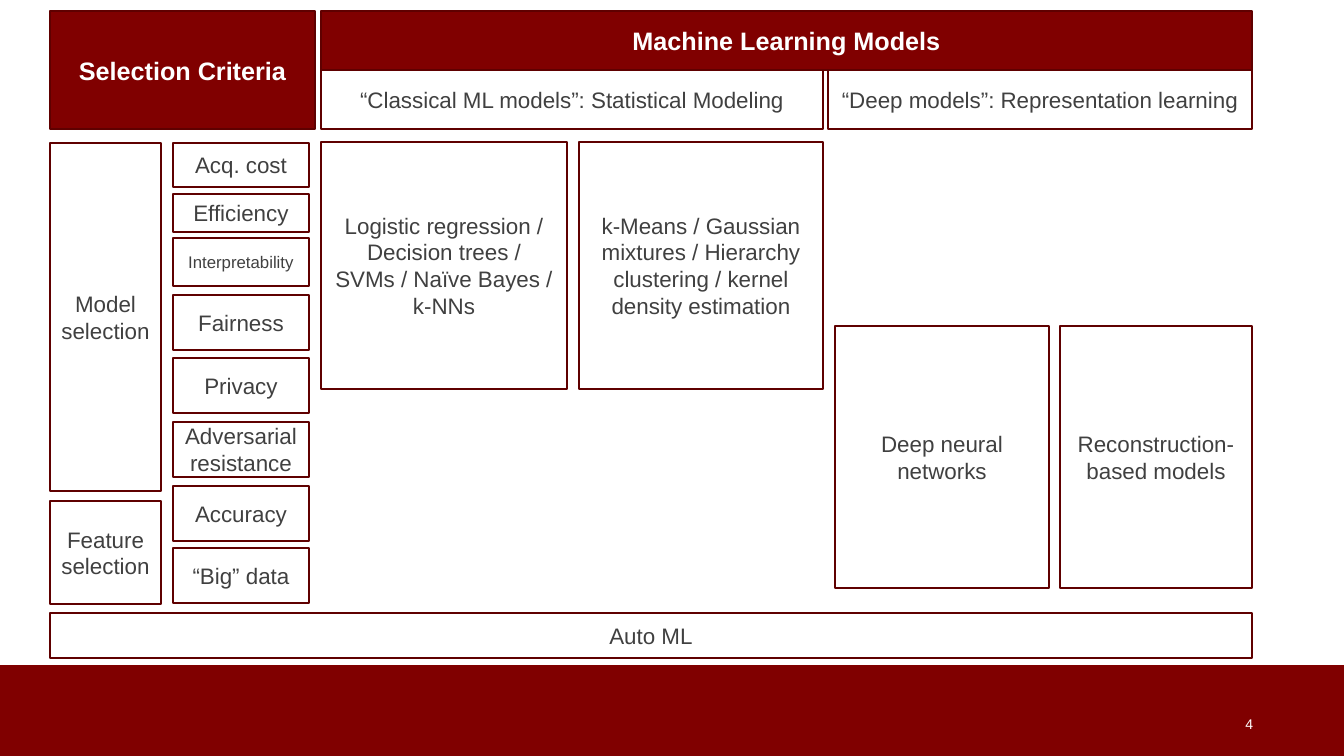
from pptx import Presentation
from pptx.dml.color import RGBColor
from pptx.enum.shapes import MSO_SHAPE
from pptx.enum.text import MSO_ANCHOR, PP_ALIGN
from pptx.util import Emu, Pt

EMU_PER_PX = 914400 / 100.8
MAROON, DARK_MAROON = "800000", "5F0000"
WHITE, GRAY = "FFFFFF", "404040"

# Shared edges of the diagram, in px
LEFT, RIGHT = 50, 1252
CRITERIA_LEFT, CRITERIA_WIDTH = 173, 136
MODELS_LEFT, CLASSICAL_RIGHT = 321, 823
HEADER_TOP, HEADER_MIDDLE, HEADER_BOTTOM = 11, 70, 129

# Criterion, top, height, text size
CRITERIA = [
    ("Acq. cost", 143, 44, 16),
    ("Efficiency", 194, 38, 16),
    ("Interpretability", 238, 48, 12),
    ("Fairness", 295, 55, 16),
    ("Privacy", 358, 55, 16),
    ("Adversarial resistance", 422, 55, 16),
    ("Accuracy", 486, 55, 16),
    ("“Big” data", 548, 55, 16),
]

# Model family, left, top, width, height
MODEL_FAMILIES = [
    ("Logistic regression / Decision trees / SVMs / Naïve Bayes / k-NNs",
     MODELS_LEFT, 142, 246, 247),
    ("k-Means / Gaussian mixtures / Hierarchy clustering / kernel density estimation",
     579, 142, CLASSICAL_RIGHT - 579, 247),
    ("Deep neural networks", 835, 326, 214, 262),
    ("Reconstruction-based models", 1060, 326, RIGHT - 1060, 262),
]


def px(length):
    return Emu(round(length * EMU_PER_PX))


def color(hex_code):
    return RGBColor.from_string(hex_code)


def write(shape, text, size, text_color, align=PP_ALIGN.CENTER, bold=False):
    frame = shape.text_frame
    frame.word_wrap = True
    frame.vertical_anchor = MSO_ANCHOR.MIDDLE
    paragraph = frame.paragraphs[0]
    paragraph.alignment = align
    run = paragraph.add_run()
    run.text = text
    run.font.name = "Arial"
    run.font.size = Pt(size)
    run.font.bold = bold
    run.font.color.rgb = color(text_color)


def add_rectangle(slide, left, top, width, height, fill):
    rectangle = slide.shapes.add_shape(
        MSO_SHAPE.RECTANGLE, px(left), px(top), px(width), px(height))
    rectangle.shadow.inherit = False
    rectangle.fill.solid()
    rectangle.fill.fore_color.rgb = color(fill)
    return rectangle


def add_box(slide, text, left, top, width, height, size=16, header=False):
    box = add_rectangle(slide, left, top, width, height, MAROON if header else WHITE)
    box.line.color.rgb = color(DARK_MAROON)
    box.line.width = Pt(1)
    write(box, text, size, WHITE if header else GRAY, bold=header)


def add_footer(slide, number):
    band = add_rectangle(slide, 0, 665, 1344, 91, MAROON)
    band.line.fill.background()
    page_number = slide.shapes.add_textbox(px(950), px(704), px(313), px(40))
    write(page_number, number, 10, WHITE, PP_ALIGN.RIGHT)


def main():
    prs = Presentation()
    prs.slide_width, prs.slide_height = px(1344), px(756)
    slide = prs.slides.add_slide(prs.slide_layouts[6])

    add_footer(slide, "4")

    # Headers
    add_box(slide, "Machine Learning Models", MODELS_LEFT, HEADER_TOP,
            RIGHT - MODELS_LEFT, HEADER_MIDDLE - HEADER_TOP, 18, header=True)
    subheader_height = HEADER_BOTTOM - HEADER_MIDDLE
    add_box(slide, "“Classical ML models”: Statistical Modeling", MODELS_LEFT,
            HEADER_MIDDLE, CLASSICAL_RIGHT - MODELS_LEFT, subheader_height)
    add_box(slide, "“Deep models”: Representation learning", 828,
            HEADER_MIDDLE, RIGHT - 828, subheader_height)
    add_box(slide, "Selection Criteria", LEFT, HEADER_TOP,
            265, HEADER_BOTTOM - HEADER_TOP, 18, header=True)

    # Selection stages
    add_box(slide, "Model selection", LEFT, 143, 111, 348)
    add_box(slide, "Feature selection", LEFT, 501, 111, 103)

    # Criteria column
    for criterion, top, height, size in CRITERIA:
        add_box(slide, criterion, CRITERIA_LEFT, top, CRITERIA_WIDTH, height, size)

    # Model families
    for family, left, top, width, height in MODEL_FAMILIES:
        add_box(slide, family, left, top, width, height)

    # Row spanning all columns
    add_box(slide, "Auto ML", LEFT, 613, RIGHT - LEFT, 45)

    prs.save("out.pptx")


if __name__ == "__main__":
    main()
